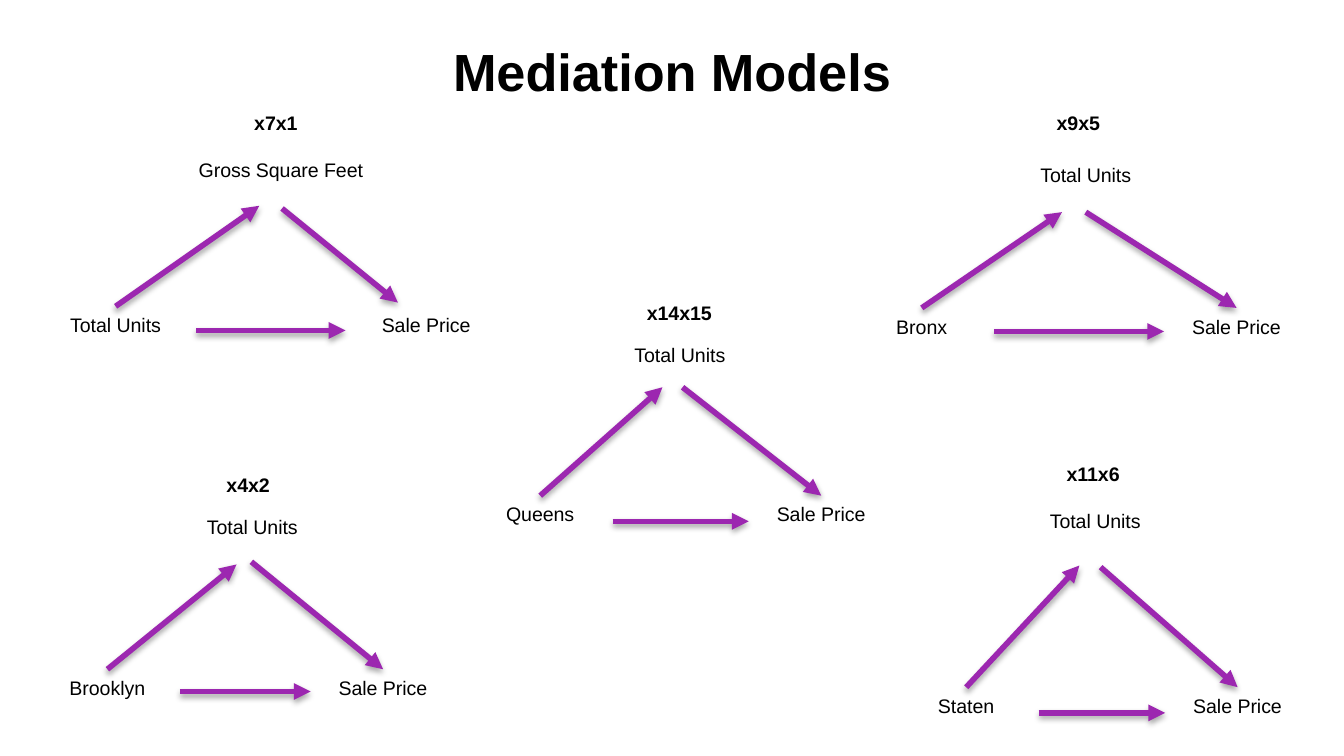
from dataclasses import dataclass
from typing import Optional

from lxml import etree
from pptx import Presentation
from pptx import util as u
from pptx.dml.color import RGBColor
from pptx.enum import shapes, text
from pptx.oxml import ns

COLORS = {"ink": "000000", "arrow": "9C27B0", "shadow": "000000"}
FONT = "Arial"
TOP, LEFT, RIGHT = 0, 1, 3  # connection sites


@dataclass
class Mediation:
    """One triangle; lengths in cm, points as (left, top) or (x, y)."""
    name: str
    name_at: tuple
    cause: str
    mediator: str
    mediator_at: tuple
    cause_left: float
    outcome_left: float
    base_top: float
    rise_tip: tuple
    fall_start: tuple
    height: float
    fall_tip: Optional[tuple] = None
    name_width: float = 2.16
    mediator_width: float = 2.74
    base_width: float = 2.74


MODELS = [
    Mediation("x7x1", (4.01, 1.98), "Total Units", "Gross Square Feet", (2.67, 2.87),
              0.66, 6.53, 5.79, (4.9, 3.89), (5.33, 3.94), 0.91,
              fall_tip=(7.52, 5.72), name_width=2.41, mediator_width=5.28,
              base_width=3.05),
    Mediation("x4x2", (3.61, 8.81), "Brooklyn", "Total Units", (3.4, 9.6),
              0.66, 5.87, 12.65, (4.47, 10.67), (4.75, 10.62), 0.84),
    Mediation("x9x5", (19.3, 1.98), "Bronx", "Total Units", (19.15, 2.95),
              16.05, 22, 5.82, (20.07, 4.01), (20.52, 4.01), 0.89),
    Mediation("x14x15", (11.76, 5.56), "Queens", "Total Units", (11.48, 6.35),
              8.84, 14.15, 9.37, (12.52, 7.32), (12.9, 7.32), 0.97),
    Mediation("x11x6", (19.58, 8.61), "Staten", "Total Units", (19.33, 9.5),
              16.89, 22.02, 12.99, (20.4, 10.69), (20.8, 10.72), 0.97),
]


def add_label(parent, wording, at, width, height, size=10.5, bold=False):
    label = parent.add_textbox(u.Cm(at[0]), u.Cm(at[1]), u.Cm(width), u.Cm(height))
    label.text_frame.word_wrap = True
    paragraph = label.text_frame.paragraphs[0]
    paragraph.alignment = text.PP_ALIGN.CENTER
    run = paragraph.add_run()
    run.text = wording
    run.font.name = FONT
    run.font.size = u.Pt(size)
    run.font.bold = bold
    run.font.color.rgb = RGBColor.from_string(COLORS["ink"])
    return label


def add_soft_shadow(arrow):
    effects = etree.SubElement(arrow._element.spPr, ns.qn("a:effectLst"))
    shadow = etree.SubElement(effects, ns.qn("a:outerShdw"), blurRad="40000",
                              dist="23000", dir="5400000", rotWithShape="0")
    color = etree.SubElement(shadow, ns.qn("a:srgbClr"), val=COLORS["shadow"])
    etree.SubElement(color, ns.qn("a:alpha"), val="35000")


def add_arrow(parent, start=(0, 0), tip=(0, 0), source=None, target=None):
    """Draw an arrow; source and target are (label, site) pairs to join."""
    arrow = parent.add_connector(shapes.MSO_CONNECTOR.STRAIGHT,
                                 *(u.Cm(value) for value in (*start, *tip)))
    if source:
        arrow.begin_connect(*source)
    if target:
        arrow.end_connect(*target)
    arrow.line.width = u.Pt(3)
    arrow.line.color.rgb = RGBColor.from_string(COLORS["arrow"])
    etree.SubElement(arrow.line._get_or_add_ln(), ns.qn("a:tailEnd"), type="triangle")
    add_soft_shadow(arrow)


def add_model(slide, model):
    group = slide.shapes.add_group_shape().shapes
    add_label(group, model.name, model.name_at, model.name_width, model.height, bold=True)
    add_label(group, model.mediator, model.mediator_at, model.mediator_width, model.height)
    cause, outcome = (
        add_label(group, wording, (left, model.base_top), model.base_width, model.height)
        for wording, left in ((model.cause, model.cause_left),
                              ("Sale Price", model.outcome_left)))
    add_arrow(group, tip=model.rise_tip, source=(cause, TOP))
    add_arrow(group, source=(cause, RIGHT), target=(outcome, LEFT))
    if model.fall_tip:
        add_arrow(group, model.fall_start, model.fall_tip)
    else:
        add_arrow(group, model.fall_start, target=(outcome, TOP))


def add_title(slide):
    title = add_label(slide.shapes, "Mediation Models", (1.27, 0.81), 22.86, 1.04,
                      size=28, bold=True)
    frame = title.text_frame
    frame.vertical_anchor = text.MSO_ANCHOR.MIDDLE
    frame.margin_top = frame.margin_bottom = u.Cm(0.25)


def main():
    deck = Presentation()
    deck.slide_width, deck.slide_height = u.Cm(25.4), u.Cm(14.29)
    slide = deck.slides.add_slide(deck.slide_layouts[6])
    for model in MODELS:
        add_model(slide, model)
    add_title(slide)
    deck.save("out.pptx")


if __name__ == "__main__":
    main()
